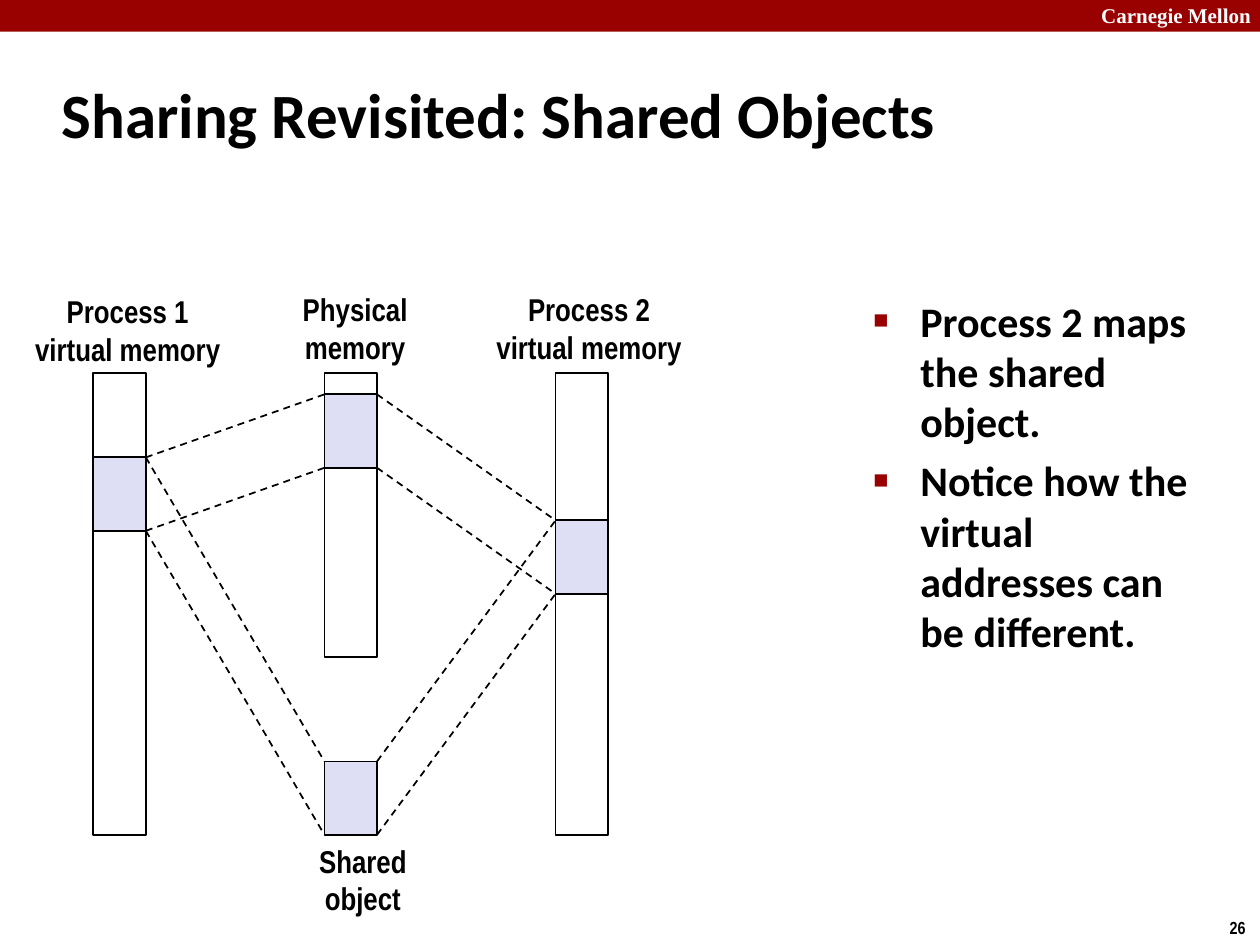
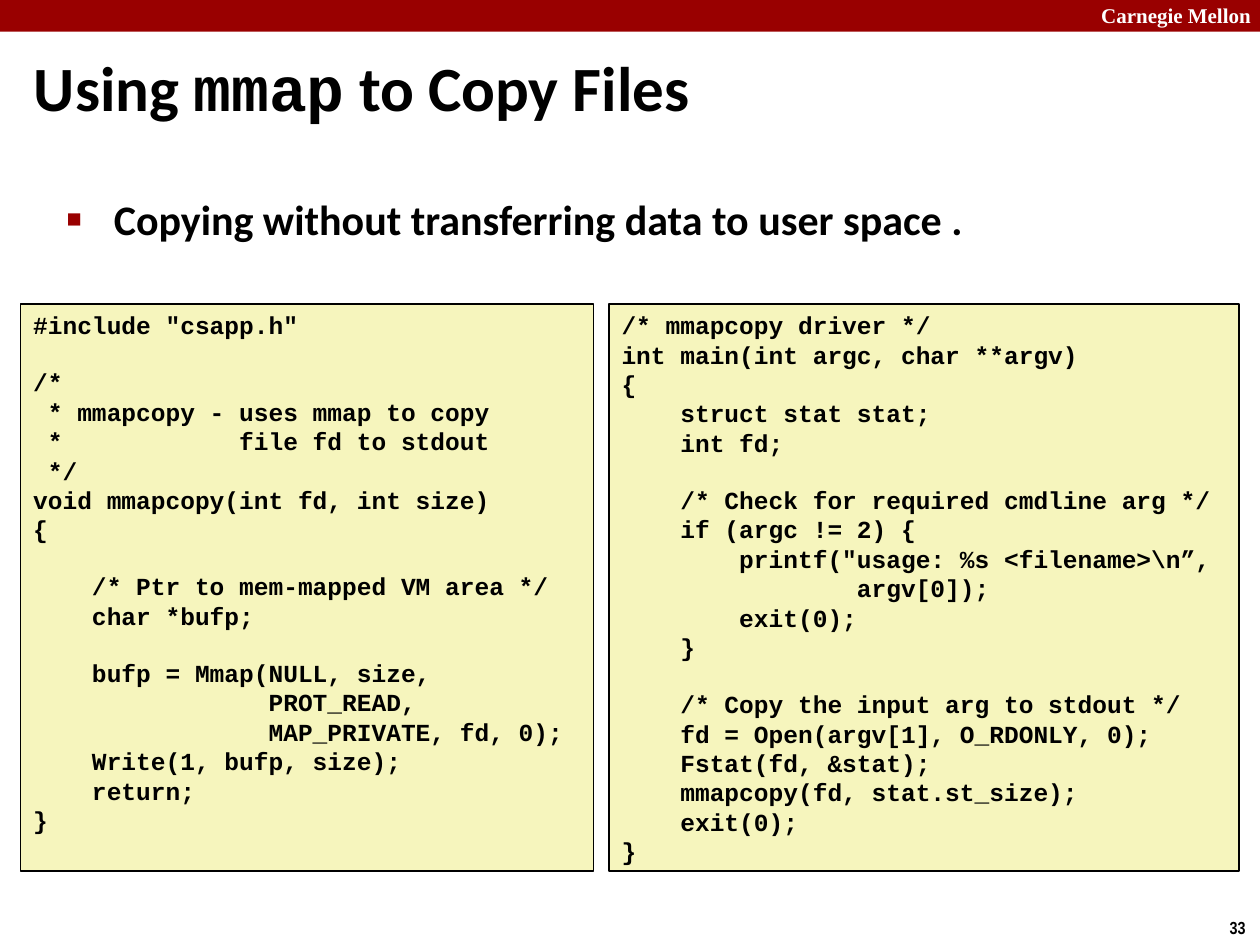
from dataclasses import dataclass
from itertools import product
from typing import NamedTuple

from lxml import etree
from pptx import Presentation
from pptx import util as u
from pptx.dml.color import RGBColor
from pptx.enum import dml, shapes, text
from pptx.oxml import ns

RED = RGBColor(0x99, 0x00, 0x00)
BLACK = RGBColor(0x00, 0x00, 0x00)
WHITE = RGBColor(0xFF, 0xFF, 0xFF)
LILAC = RGBColor(0xDE, 0xDF, 0xF5)
CREAM = RGBColor(0xF6, 0xF5, 0xBD)

SANS = "Calibri"
NARROW = "Arial Narrow"
SERIF = "Times New Roman"
MONO = "Courier New"

CODE_GAP = u.Pt(15.8)
LIST_GAP = u.Pt(4.8)


class Box(NamedTuple):
    left: float
    top: float
    width: float
    height: float

    def cm(self) -> list:
        return [u.Cm(side) for side in self]


class Style(NamedTuple):
    font: str
    size: float
    color: RGBColor = BLACK


class Part(NamedTuple):
    words: str
    font: str = SANS


@dataclass
class Label:
    lines: tuple
    box: Box


@dataclass
class Code:
    box: Box
    body: str


HEAD = Style(SERIF, 12, WHITE)
PAGE = Style(NARROW, 10)
LABEL = Style(NARROW, 18)
ITEM = Style(SANS, 24)
CODE = Style(MONO, 14)

BAND = Box(0, 0, 25.4, 0.64)
TOP = 7.52
WIDE = 1.06
TALL = 9.31
PANE = 1.48
LEFT, MID, RIGHT = (1.88 + 4.66 * col for col in range(3))

BARS = (
    Box(MID, TOP, WIDE, 5.72),
    Box(LEFT, TOP, WIDE, TALL),
    Box(RIGHT, TOP, WIDE, TALL),
)
FIRST = Box(LEFT, 9.22, WIDE, PANE)
SECOND = Box(RIGHT, 10.49, WIDE, PANE)
FRAME = Box(MID, 7.95, WIDE, PANE)
SHARED = Box(MID, TOP + TALL - PANE, WIDE, PANE)

LABELS = (
    Label(("Process 1", "virtual memory"), Box(0.43, 5.77, 4.29, 1.8)),
    Label(("Physical", "memory"), Box(5.84, 5.73, 2.64, 1.8)),
    Label(("Process 2", "virtual memory"), Box(9.73, 5.73, 4.29, 1.8)),
    Label(("Shared", "object"), Box(6.17, 16.84, 2.29, 1.8)),
)

CODES = (
    Code(Box(0.42, 6.13, 11.54, 11.43), r'''#include "csapp.h"

/*
 * mmapcopy - uses mmap to copy
 *            file fd to stdout
 */
void mmapcopy(int fd, int size)
{

    /* Ptr to mem-mapped VM area */
    char *bufp;

    bufp = Mmap(NULL, size,
                PROT_READ,
                MAP_PRIVATE, fd, 0);
    Write(1, bufp, size);
    return;
}'''),
    Code(Box(12.28, 6.13, 12.7, 11.43), r'''/* mmapcopy driver */
int main(int argc, char **argv)
{
    struct stat stat;
    int fd;

    /* Check for required cmdline arg */
    if (argc != 2) {
        printf("usage: %s <filename>\n”,
                argv[0]);
        exit(0);
    }

    /* Copy the input arg to stdout */
    fd = Open(argv[1], O_RDONLY, 0);
    Fstat(fd, &stat);
    mmapcopy(fd, stat.st_size);
    exit(0);
}'''),
)


def add_run(para, words: str, style: Style) -> None:
    run = para.add_run()
    run.text = words
    run.font.name = style.font
    run.font.size = u.Pt(style.size)
    run.font.bold = True
    run.font.color.rgb = style.color


def next_para(frame, index: int):
    return frame.add_paragraph() if index else frame.paragraphs[0]


def add_rect(slide, box: Box, fill=None, line=None, width: float = 1):
    rect = slide.shapes.add_shape(shapes.MSO_SHAPE.RECTANGLE, *box.cm())
    rect.shadow.inherit = False
    if fill is None:
        rect.fill.background()
    else:
        rect.fill.solid()
        rect.fill.fore_color.rgb = fill
    if line is None:
        rect.line.fill.background()
    else:
        rect.line.color.rgb = line
        rect.line.width = u.Pt(width)
    return rect


def add_text(slide, box: Box, lines: tuple, style: Style,
             wrap: bool = False, align=text.PP_ALIGN.LEFT) -> None:
    frame = slide.shapes.add_textbox(*box.cm()).text_frame
    frame.word_wrap = wrap
    for index, words in enumerate(lines):
        para = next_para(frame, index)
        para.alignment = align
        add_run(para, words, style)


def place(shape, box: Box, anchor):
    shape.left, shape.top, shape.width, shape.height = box.cm()
    frame = shape.text_frame
    frame.auto_size = text.MSO_AUTO_SIZE.NONE
    frame.vertical_anchor = anchor
    return frame


def add_bullet(para) -> None:
    props = para._p.get_or_add_pPr()
    props.set("marL", str(u.Cm(0.95)))
    props.set("indent", str(-u.Cm(0.95)))
    tint = etree.SubElement(props, ns.qn("a:buClr"))
    etree.SubElement(tint, ns.qn("a:srgbClr"), val=str(RED))
    etree.SubElement(props, ns.qn("a:buSzPct"), val="60000")
    etree.SubElement(props, ns.qn("a:buFont"), typeface="Arial")
    etree.SubElement(props, ns.qn("a:buChar"), char="■")


def fill_list(slide, box: Box, items: tuple) -> None:
    frame = place(slide.placeholders[1], box, text.MSO_ANCHOR.TOP)
    for index, words in enumerate(items):
        para = next_para(frame, index)
        para.space_before = LIST_GAP if index else u.Pt(0)
        add_bullet(para)
        add_run(para, words, ITEM)


def start(deck, page: str, box: Box, title: tuple):
    slide = deck.slides.add_slide(deck.slide_layouts[1])
    add_rect(slide, BAND, RED)
    add_text(slide, Box(21.95, -0.08, 3.63, 0.76), ("Carnegie Mellon",),
             HEAD, wrap=True)
    add_text(slide, Box(24.54, 18.36, 0.86, 0.69), (page,), PAGE)
    frame = place(slide.shapes.title, box, text.MSO_ANCHOR.MIDDLE)
    para = frame.paragraphs[0]
    para.alignment = text.PP_ALIGN.LEFT
    for part in title:
        add_run(para, part.words, Style(part.font, 36))
    return slide


def add_dash(slide, begin: tuple, end: tuple) -> None:
    points = [u.Cm(side) for side in begin + end]
    link = slide.shapes.add_connector(shapes.MSO_CONNECTOR.STRAIGHT, *points)
    link.line.color.rgb = BLACK
    link.line.width = u.Pt(1)
    link.line.dash_style = dml.MSO_LINE.DASH
    etree.SubElement(link._element.spPr, ns.qn("a:effectLst"))


def add_code(slide, code: Code) -> None:
    frame = add_rect(slide, code.box, CREAM, BLACK, 0.75).text_frame
    frame.word_wrap = True
    frame.vertical_anchor = text.MSO_ANCHOR.TOP
    gap = u.Pt(0)
    for index, line in enumerate(code.body.split("\n")):
        if not line:
            gap = CODE_GAP
            continue
        para = next_para(frame, index)
        para.alignment = text.PP_ALIGN.LEFT
        para.space_before = gap
        add_run(para, line, CODE)
        gap = u.Pt(0)


def draw_share(deck) -> None:
    slide = start(deck, "26", Box(0.99, 1.22, 21.08, 2.11),
                  (Part("Sharing Revisited: Shared Objects"),))
    fill_list(slide, Box(17.35, 5.82, 7.37, 12.8), (
        "Process 2 maps the shared object.",
        "Notice how the virtual addresses can be different.",
    ))
    for bar in BARS:
        add_rect(slide, bar, line=BLACK)
    for pane in (FIRST, SECOND, FRAME, SHARED):
        add_rect(slide, pane, LILAC, BLACK)
    for pane, edge in product((FRAME, SHARED), (0, PANE)):
        add_dash(slide, (LEFT + WIDE, FIRST.top + edge),
                 (MID, pane.top + edge))
        add_dash(slide, (MID + WIDE, pane.top + edge),
                 (RIGHT, SECOND.top + edge))
    for label in LABELS:
        add_text(slide, label.box, label.lines, LABEL,
                 align=text.PP_ALIGN.CENTER)


def draw_copy(deck) -> None:
    slide = start(deck, "33", Box(0.43, 0.89, 20.73, 1.68),
                  (Part("Using "), Part("mmap", MONO), Part(" to Copy Files")))
    fill_list(slide, Box(1.09, 3.78, 23.88, 13.82),
              ("Copying without transferring data to user space .",))
    for code in CODES:
        add_code(slide, code)


def main() -> None:
    deck = Presentation()
    deck.slide_width, deck.slide_height = u.Cm(25.4), u.Cm(19.05)
    draw_share(deck)
    draw_copy(deck)
    deck.save("out.pptx")


if __name__ == "__main__":
    main()
